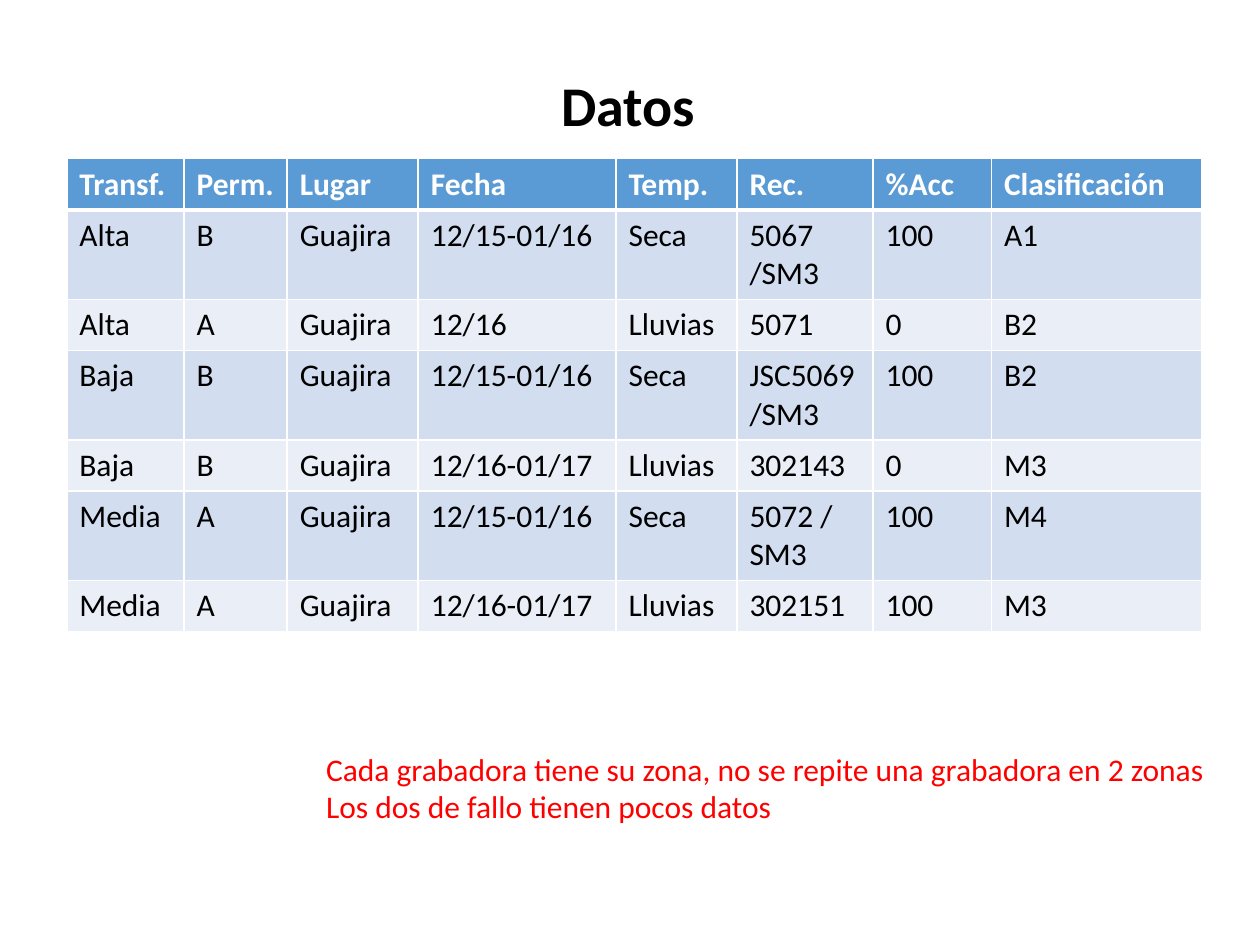
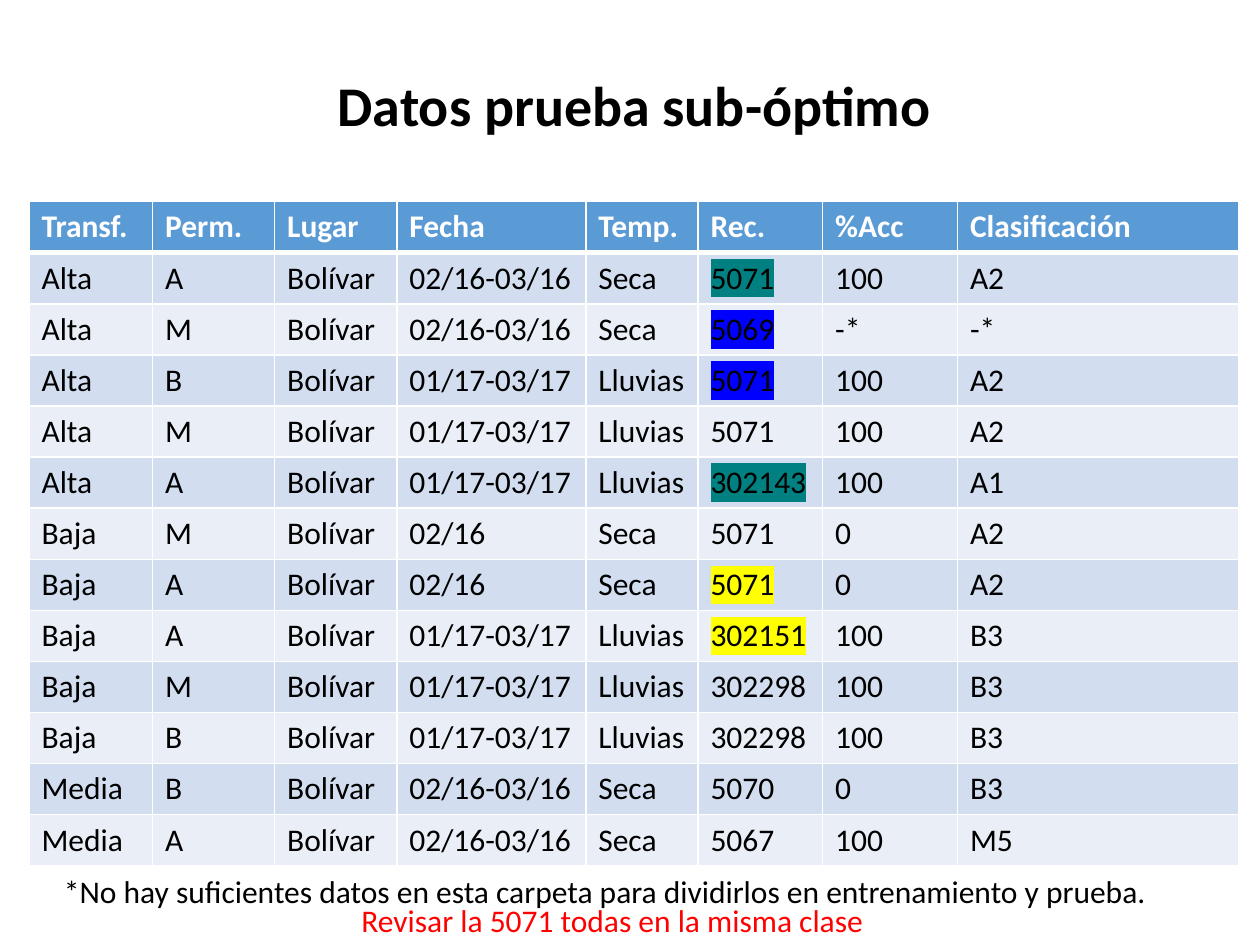
from dataclasses import dataclass
from typing import NamedTuple, Optional

import pptx
import pptx.dml.color
import pptx.enum.text
import pptx.oxml.ns
import pptx.slide
import pptx.table
import pptx.text.text
import pptx.util
from lxml import etree

RGBColor = pptx.dml.color.RGBColor
BLACK = RGBColor(0x00, 0x00, 0x00)
WHITE = RGBColor(0xFF, 0xFF, 0xFF)
RED = RGBColor(0xFF, 0x00, 0x00)
HEADER_BLUE = RGBColor(0x5B, 0x9B, 0xD5)
BAND_DARK = RGBColor(0xD2, 0xDE, 0xEF)
BAND_LIGHT = RGBColor(0xEA, 0xEF, 0xF7)
TEAL = RGBColor(0x00, 0x80, 0x80)
BLUE = RGBColor(0x00, 0x00, 0xFF)
YELLOW = RGBColor(0xFF, 0xFF, 0x00)

FONT = "Calibri"
SLIDE_WIDTH = pptx.util.Inches(10)
SLIDE_HEIGHT = pptx.util.Inches(7.5)
GRID_COLUMNS = 100
GRID_ROWS = 75
TABLE_ROW = 4.05
TITLE_ONLY_LAYOUT = 5
HEADINGS = ("Transf.", "Perm.", "Lugar", "Fecha", "Temp.", "Rec.", "%Acc", "Clasificación")
RECORDER_COLUMN = HEADINGS.index("Rec.")


class Area(NamedTuple):
    """A rectangle in grid columns and rows."""
    left: float
    top: float
    width: float
    height: float


class Recording(NamedTuple):
    transformation: str
    permeability: str
    dates: str
    season: str
    recorder: str
    accuracy: str
    classification: str
    mark: Optional[RGBColor] = None

    def cells(self, place: str) -> tuple[str, ...]:
        return (self.transformation, self.permeability, place, *self[2:7])


@dataclass(frozen=True)
class Note:
    text: str
    area: Area
    color: RGBColor
    wrap: bool = False


@dataclass(frozen=True)
class DataSlide:
    title: str
    place: str
    table_left: float
    table_top: float
    column_widths: tuple[float, ...]
    recordings: tuple[Recording, ...]
    notes: tuple[Note, ...]


TITLE_AREA = Area(24.9, 5.1, 50.9, 6.4)

DATA_SLIDES = (
    DataSlide(
        title="Datos ",
        place="Guajira",
        table_left=5.3,
        table_top=12.6,
        column_widths=(9.3, 8.2, 10.4, 15.7, 9.6, 10.8, 9.4, 16.7),
        recordings=(
            Recording("Alta", "B", "12/15-01/16", "Seca", "5067 /SM3", "100", "A1"),
            Recording("Alta", "A", "12/16", "Lluvias", "5071", "0", "B2"),
            Recording("Baja", "B", "12/15-01/16", "Seca", "JSC5069 /SM3", "100", "B2"),
            Recording("Baja", "B", "12/16-01/17", "Lluvias", "302143", "0", "M3"),
            Recording("Media", "A", "12/15-01/16", "Seca", "5072 / SM3", "100", "M4"),
            Recording("Media", "A", "12/16-01/17", "Lluvias", "302151", "100", "M3"),
        ),
        notes=(
            Note("Cada grabadora tiene su zona, no se repite una grabadora en 2 zonas\n"
                 "Los dos de fallo tienen pocos datos",
                 Area(24.9, 59, 72.6, 7.1), RED),
        ),
    ),
    DataSlide(
        title="Datos prueba sub-óptimo",
        place="Bolívar",
        table_left=2.3,
        table_top=16,
        column_widths=(9.8, 9.7, 9.7, 15, 8.9, 9.9, 10.7, 22.3),
        recordings=(
            Recording("Alta", "A", "02/16-03/16", "Seca", "5071", "100", "A2", TEAL),
            Recording("Alta", "M", "02/16-03/16", "Seca", "5069", "-*", "-*", BLUE),
            Recording("Alta", "B", "01/17-03/17", "Lluvias", "5071", "100", "A2", BLUE),
            Recording("Alta", "M", "01/17-03/17", "Lluvias", "5071", "100", "A2"),
            Recording("Alta", "A", "01/17-03/17", "Lluvias", "302143", "100", "A1", TEAL),
            Recording("Baja", "M", "02/16", "Seca", "5071", "0", "A2"),
            Recording("Baja", "A", "02/16", "Seca", "5071", "0", "A2", YELLOW),
            Recording("Baja", "A", "01/17-03/17", "Lluvias", "302151", "100", "B3", YELLOW),
            Recording("Baja", "M", "01/17-03/17", "Lluvias", "302298", "100", "B3"),
            Recording("Baja", "B", "01/17-03/17", "Lluvias", "302298", "100", "B3"),
            Recording("Media", "B", "02/16-03/16", "Seca", "5070", "0", "B3"),
            Recording("Media", "A", "02/16-03/16", "Seca", "5067", "100", "M5"),
        ),
        notes=(
            Note("*No hay suficientes datos en esta carpeta para dividirlos en entrenamiento y prueba.",
                 Area(4.1, 68.7, 90.4, 4), BLACK, wrap=True),
            Note("Revisar la 5071 todas en la misma clase", Area(27.7, 71, 44.2, 4), RED),
        ),
    ),
)


def across(columns: float) -> int:
    return round(SLIDE_WIDTH * columns / GRID_COLUMNS)


def down(rows: float) -> int:
    return round(SLIDE_HEIGHT * rows / GRID_ROWS)


def to_lengths(area: Area) -> tuple[int, int, int, int]:
    return across(area.left), down(area.top), across(area.width), down(area.height)


def add_color(parent: etree._Element, tag: str, color: RGBColor) -> None:
    holder = etree.SubElement(parent, pptx.oxml.ns.qn(tag))
    etree.SubElement(holder, pptx.oxml.ns.qn("a:srgbClr"), val=str(color))


def write_text(
    text_frame: pptx.text.text.TextFrame,
    text: str,
    *,
    size: float = 18,
    color: RGBColor = BLACK,
    bold: bool = False,
    alignment: pptx.enum.text.PP_ALIGN = pptx.enum.text.PP_ALIGN.LEFT,
    highlight: Optional[RGBColor] = None,
) -> None:
    """Write each line of the text as a paragraph in one format."""
    for index, line in enumerate(text.split("\n")):
        paragraph = text_frame.add_paragraph() if index else text_frame.paragraphs[0]
        paragraph.alignment = alignment
        run = paragraph.add_run()
        run.text = line
        run.font.size = pptx.util.Pt(size)
        run.font.bold = bold
        run.font.color.rgb = color
        if highlight is not None:
            add_color(run.font._element, "a:highlight", highlight)
        run.font.name = FONT


def format_cell(cell: pptx.table._Cell, fill: RGBColor, top: float, bottom: float) -> None:
    """Fill a cell and give it white borders; top and bottom are in points."""
    properties = cell._tc.get_or_add_tcPr()
    for side, points in (("L", 1), ("R", 1), ("T", top), ("B", bottom)):
        line = etree.SubElement(properties, pptx.oxml.ns.qn(f"a:ln{side}"),
                                w=str(pptx.util.Pt(points)))
        add_color(line, "a:solidFill", WHITE)
    cell.fill.solid()
    cell.fill.fore_color.rgb = fill


def add_title(slide: pptx.slide.Slide, text: str) -> None:
    title = slide.shapes.title
    title.left, title.top, title.width, title.height = to_lengths(TITLE_AREA)
    title.text_frame.auto_size = pptx.enum.text.MSO_AUTO_SIZE.NONE
    title.text_frame.vertical_anchor = pptx.enum.text.MSO_ANCHOR.TOP
    write_text(title.text_frame, text, size=32, bold=True,
               alignment=pptx.enum.text.PP_ALIGN.CENTER)


def add_note(slide: pptx.slide.Slide, note: Note) -> None:
    text_frame = slide.shapes.add_textbox(*to_lengths(note.area)).text_frame
    text_frame.word_wrap = note.wrap
    write_text(text_frame, note.text, color=note.color)


def add_recordings_table(slide: pptx.slide.Slide, data: DataSlide) -> None:
    row_count = len(data.recordings) + 1
    area = Area(data.table_left, data.table_top, sum(data.column_widths), row_count * TABLE_ROW)
    table = slide.shapes.add_table(row_count, len(HEADINGS), *to_lengths(area)).table
    for column, width in zip(table.columns, data.column_widths):
        column.width = across(width)
    for row in table.rows:
        row.height = down(TABLE_ROW)

    for cell, heading in zip(table.rows[0].cells, HEADINGS):
        format_cell(cell, HEADER_BLUE, top=1, bottom=3)
        write_text(cell.text_frame, heading, color=WHITE, bold=True)
    for row_index, recording in enumerate(data.recordings, start=1):
        band = BAND_DARK if row_index % 2 else BAND_LIGHT
        for column_index, text in enumerate(recording.cells(data.place)):
            cell = table.cell(row_index, column_index)
            format_cell(cell, band, top=3 if row_index == 1 else 1, bottom=1)
            mark = recording.mark if column_index == RECORDER_COLUMN else None
            write_text(cell.text_frame, text, highlight=mark)


def main() -> None:
    presentation = pptx.Presentation()
    presentation.slide_width = SLIDE_WIDTH
    presentation.slide_height = SLIDE_HEIGHT
    for data in DATA_SLIDES:
        slide = presentation.slides.add_slide(presentation.slide_layouts[TITLE_ONLY_LAYOUT])
        add_title(slide, data.title)
        add_recordings_table(slide, data)
        for note in data.notes:
            add_note(slide, note)
    presentation.save("out.pptx")


if __name__ == "__main__":
    main()
